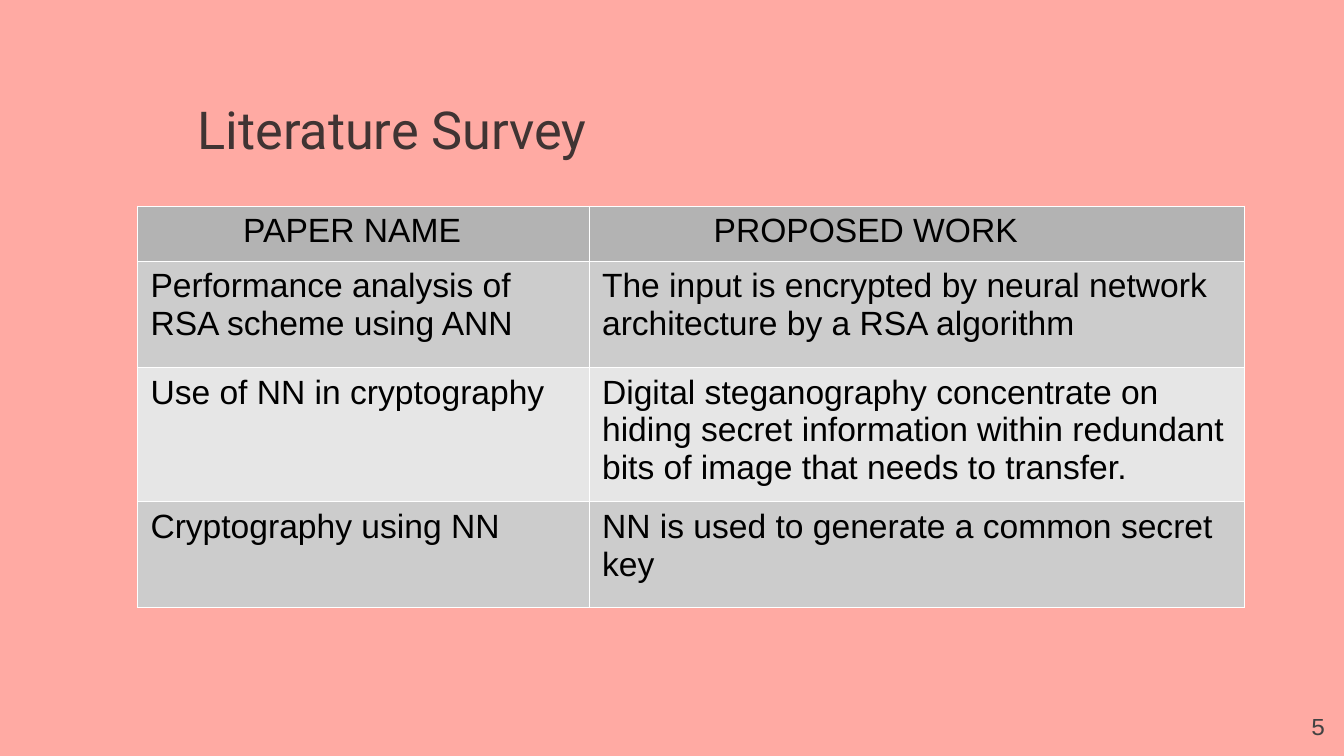
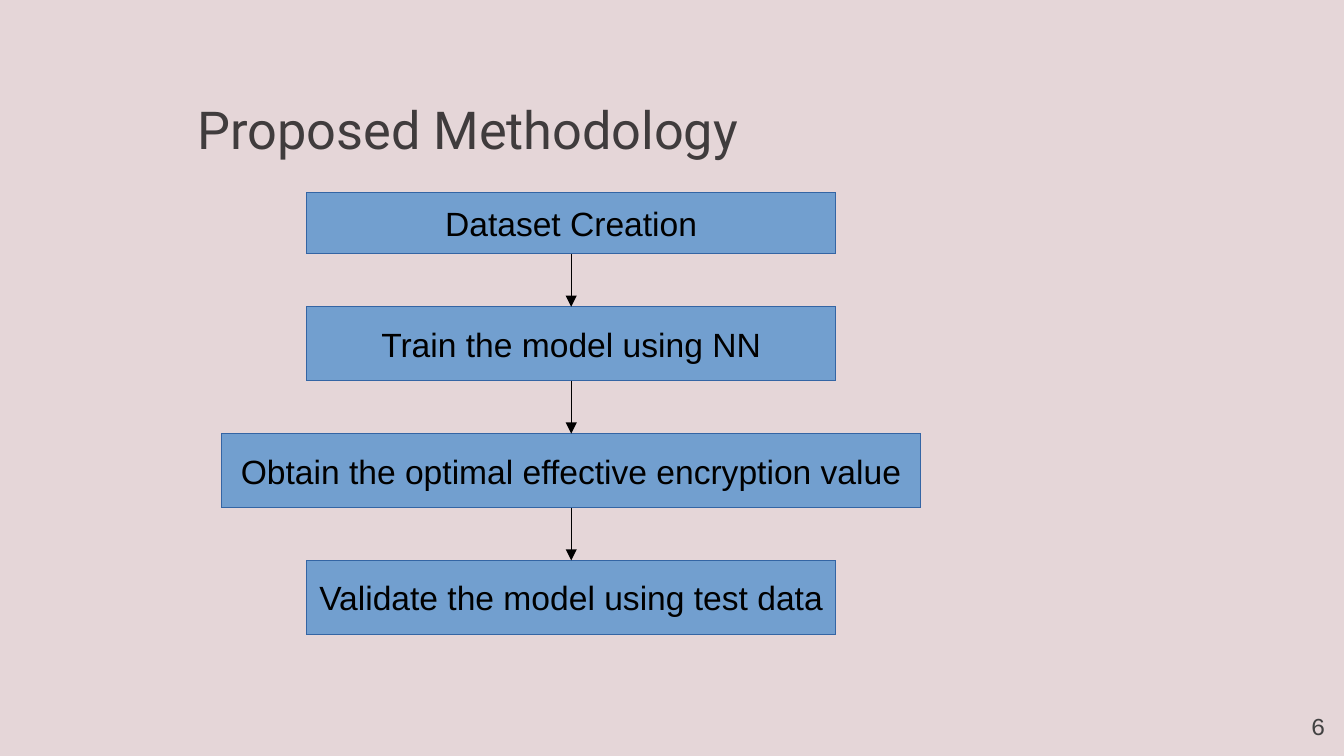
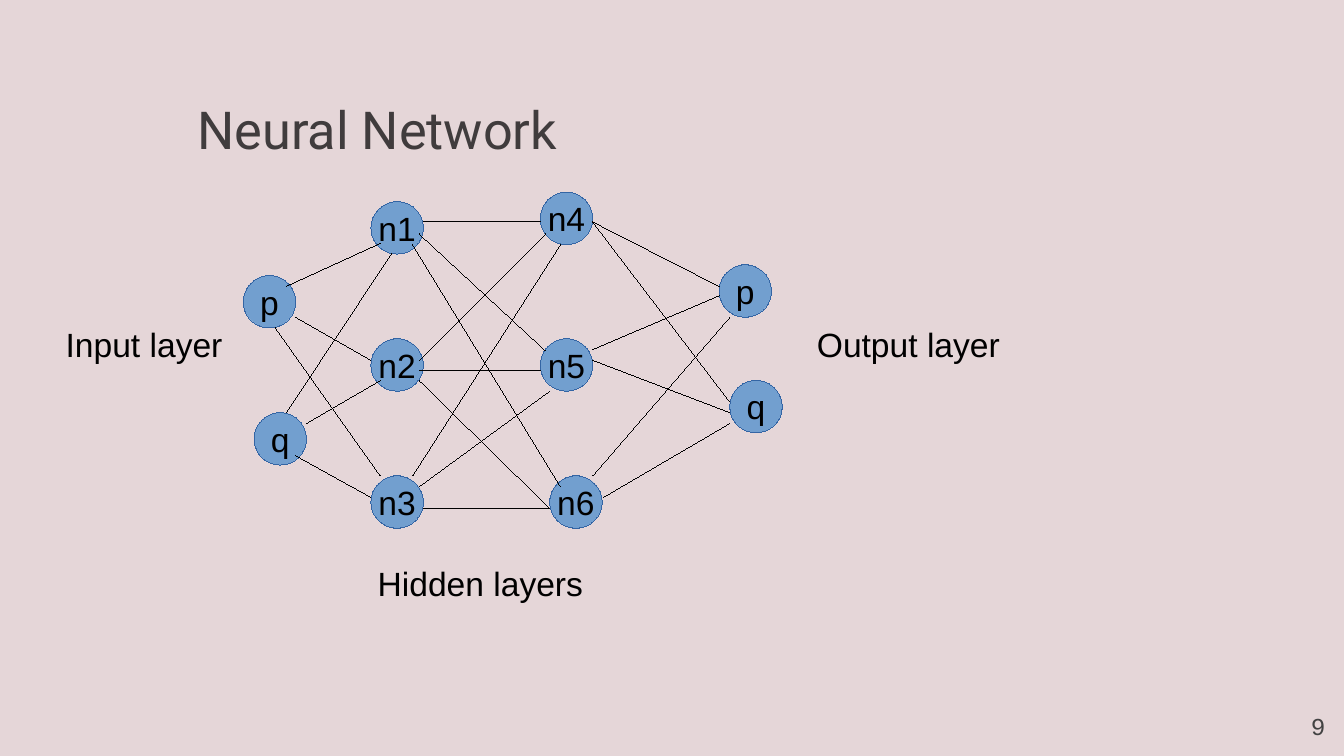
"""Build three slides on neural cryptography: a survey table, a method flow and a network diagram."""
from lxml.etree import SubElement
from pptx import Presentation
from pptx.dml.color import RGBColor
from pptx.enum.shapes import MSO_CONNECTOR as Connector, MSO_SHAPE as Shape
from pptx.enum.text import MSO_ANCHOR as Anchor, MSO_AUTO_SIZE as AutoSize, PP_ALIGN as Align
from pptx.oxml import parse_xml
from pptx.oxml.ns import nsdecls, qn
from pptx.util import Inches, Pt

CORAL = RGBColor(0xFF, 0xAA, 0xA3)
ROSE = RGBColor(0xE5, 0xD6, 0xD8)
BROWN = RGBColor(0x40, 0x34, 0x33)
CHARCOAL = RGBColor(0x40, 0x3C, 0x3D)
GRAY = RGBColor(0x42, 0x42, 0x42)
BLACK = RGBColor(0, 0, 0)
BLUE = RGBColor(0x72, 0x9F, 0xCF)
NAVY = RGBColor(0x34, 0x65, 0xA4)
HEADER_FILL = RGBColor(0xB3, 0xB3, 0xB3)
BAND_FILLS = [RGBColor(0xCC, 0xCC, 0xCC), RGBColor(0xE6, 0xE6, 0xE6)]

BODY_FONT = {"name": "Arial", "size": Pt(18)}
TITLE_FONT = {"name": "Roboto", "size": Pt(28)}
NUMBER_FONT = {"name": "Courier New", "size": Pt(13)}

SURVEY = [
    ("PAPER NAME", "PROPOSED WORK"),
    ("Performance analysis of RSA scheme using ANN",
     "The input is encrypted by neural network architecture by a RSA algorithm"),
    ("Use of NN in cryptography",
     "Digital steganography concentrate on hiding secret information within "
     "redundant bits of image that needs to transfer."),
    ("Cryptography using NN", "NN is used to generate a common secret key"),
]
TABLE_BOX = (1.02, 1.53, 8.24, 2.93)
COLUMN_WIDTHS = [3.36, 4.88]
ROW_HEIGHTS = [0.41, 0.79, 0.79, 0.79]
HEADER_INSETS = [0.79, 0.93]

STEPS = [
    ("Dataset Creation", 3.94, 0.46),
    ("Train the model using NN", 3.94, 0.55),
    ("Obtain the optimal effective encryption value", 5.2, 0.55),
    ("Validate the model using test data", 3.94, 0.55),
]
FLOW_CENTER, FLOW_TOP, FLOW_BOTTOM = 4.25, 1.43, 4.72

NEURON_SIZE = 0.39
NEURONS = [
    ("q", 1.89, 3.07), ("p", 1.81, 2.05),
    ("n2", 2.76, 2.52), ("n3", 2.76, 3.54), ("n1", 2.76, 1.5),
    ("n5", 4.02, 2.52), ("n4", 4.02, 1.43), ("n6", 4.09, 3.54),
    ("p", 5.35, 1.97), ("q", 5.43, 2.83),
]
LINKS = [
    (2.13, 2.13, 2.83, 1.81), (2.2, 2.36, 2.76, 2.68), (2.05, 2.44, 2.83, 3.54),
    (2.13, 3.07, 2.91, 1.89), (2.28, 3.15, 2.83, 2.83), (2.2, 3.39, 2.76, 3.7),
    (3.15, 1.65, 4.02, 1.65), (3.12, 1.74, 4.06, 2.61), (3.07, 1.82, 4.17, 3.62),
    (3.12, 2.68, 4.06, 1.74), (3.12, 2.76, 4.02, 2.76), (3.12, 2.83, 4.09, 3.78),
    (3.12, 3.62, 4.09, 2.91), (3.07, 3.54, 4.17, 1.82), (3.15, 3.78, 4.09, 3.78),
    (4.41, 1.65, 5.35, 2.13), (4.41, 1.65, 5.43, 2.99), (4.49, 3.7, 5.43, 3.15),
    (4.41, 2.6, 5.35, 2.2), (4.41, 2.68, 5.43, 3.07), (4.41, 3.54, 5.43, 2.36),
]
LAYER_LABELS = [
    ("Hidden layers", (2.36, 4.14, 2.52, 0.66), 0.45),
    ("Output layer", (5.98, 2.36, 2.11, 0.38), 0.1),
    ("Input layer", (0.39, 2.36, 1.5, 0.66), 0.1),
]


def apply_format(target, values):
    for name, value in values.items():
        setattr(target, name, value)


def inches(*lengths):
    return [Inches(length) for length in lengths]


def margins(left, top, right, bottom):
    sides = ("margin_left", "margin_top", "margin_right", "margin_bottom")
    return dict(zip(sides, inches(left, top, right, bottom)))


def write_text(frame, text, font, color, align=Align.LEFT):
    paragraph = frame.paragraphs[0]
    paragraph.alignment = align
    run = paragraph.add_run()
    run.text = text
    apply_format(run.font, font)
    run.font.color.rgb = color


def add_text(slide, text, box, font, color, align=Align.LEFT, **frame_format):
    frame = slide.shapes.add_textbox(*inches(*box)).text_frame
    apply_format(frame, {"word_wrap": True, **frame_format})
    write_text(frame, text, font, color, align)


def add_slide(presentation, title, number, background, title_color):
    slide = presentation.slides.add_slide(presentation.slide_layouts[6])
    slide.background.fill.solid()
    slide.background.fill.fore_color.rgb = background
    add_text(slide, title, (1.47, 0.49, 8, 0.94), TITLE_FONT, title_color,
             vertical_anchor=Anchor.MIDDLE, **margins(0, 0, 0, 0))
    add_text(slide, str(number), (9.36, 5.19, 0.6, 0.43), NUMBER_FONT, GRAY, Align.RIGHT,
             **margins(0.1, 0.1, 0.1, 0.1))
    return slide


def set_hairline(shape, color):
    shape.element.remove(shape.element.find(qn("p:style")))
    shape.line.color.rgb = color
    shape.line.width = Pt(0)


def add_node(slide, kind, text, box):
    shape = slide.shapes.add_shape(kind, *inches(*box))
    shape.shadow.inherit = False
    shape.fill.solid()
    shape.fill.fore_color.rgb = BLUE
    set_hairline(shape, NAVY)
    apply_format(shape.text_frame, {"word_wrap": False, "vertical_anchor": Anchor.MIDDLE})
    write_text(shape.text_frame, text, BODY_FONT, BLACK, Align.CENTER)
    return shape


def add_line(slide, ends=(0, 0, 0, 0)):
    connector = slide.shapes.add_connector(Connector.STRAIGHT, *inches(*ends))
    set_hairline(connector, BLACK)
    SubElement(connector.element.spPr, qn("a:effectLst"))
    return connector


def add_arrow(slide, upper, lower):
    arrow = add_line(slide)
    arrow.begin_connect(upper, 2)
    arrow.end_connect(lower, 0)
    SubElement(arrow.element.spPr.find(qn("a:ln")), qn("a:tailEnd"), type="triangle")


def add_borders(frame):
    for properties in frame.element.iter(qn("a:tcPr")):
        for position, side in enumerate("LRTB"):
            properties.insert(position, parse_xml(
                f'<a:ln{side} {nsdecls("a")} w="{Pt(0.06)}"><a:solidFill>'
                f'<a:srgbClr val="FFFFFF"/></a:solidFill></a:ln{side}>'))


def build_survey(presentation):
    slide = add_slide(presentation, "Literature Survey", 5, CORAL, BROWN)
    frame = slide.shapes.add_table(len(SURVEY), len(COLUMN_WIDTHS), *inches(*TABLE_BOX))
    table = frame.table
    apply_format(table, {"first_row": False, "horz_banding": False})
    for column, width in zip(table.columns, COLUMN_WIDTHS):
        column.width = Inches(width)
    for index, (row, height) in enumerate(zip(table.rows, ROW_HEIGHTS)):
        row.height = Inches(height)
        for cell, text, header_inset in zip(row.cells, SURVEY[index], HEADER_INSETS):
            inset = 0.1 if index else header_inset
            apply_format(cell, margins(inset, 0.05, 0.1, 0.05))
            cell.fill.solid()
            cell.fill.fore_color.rgb = BAND_FILLS[(index - 1) % 2] if index else HEADER_FILL
            write_text(cell.text_frame, text, BODY_FONT, BLACK)
    frame.height = Inches(TABLE_BOX[3])
    add_borders(frame)


def build_methodology(presentation):
    slide = add_slide(presentation, "Proposed Methodology", 6, ROSE, CHARCOAL)
    total_height = sum(height for _, _, height in STEPS)
    gap = (FLOW_BOTTOM - FLOW_TOP - total_height) / (len(STEPS) - 1)
    boxes, top = [], FLOW_TOP
    for text, width, height in STEPS:
        box = (FLOW_CENTER - width / 2, top, width, height)
        boxes.append(add_node(slide, Shape.RECTANGLE, text, box))
        top += height + gap
    for upper, lower in zip(boxes, boxes[1:]):
        add_arrow(slide, upper, lower)


def build_network(presentation):
    slide = add_slide(presentation, "Neural Network", 9, ROSE, CHARCOAL)
    for text, left, top in NEURONS:
        add_node(slide, Shape.OVAL, text, (left, top, NEURON_SIZE, NEURON_SIZE))
    for ends in LINKS:
        add_line(slide, ends)
    for text, box, inset in LAYER_LABELS:
        add_text(slide, text, box, BODY_FONT, BLACK, auto_size=AutoSize.SHAPE_TO_FIT_TEXT,
                 **margins(inset, 0.05, 0.1, 0.05))


def main():
    presentation = Presentation()
    width = Inches(10)
    apply_format(presentation, {"slide_width": width, "slide_height": width * 9 // 16})
    for build in (build_survey, build_methodology, build_network):
        build(presentation)
    presentation.save("out.pptx")


if __name__ == "__main__":
    main()
